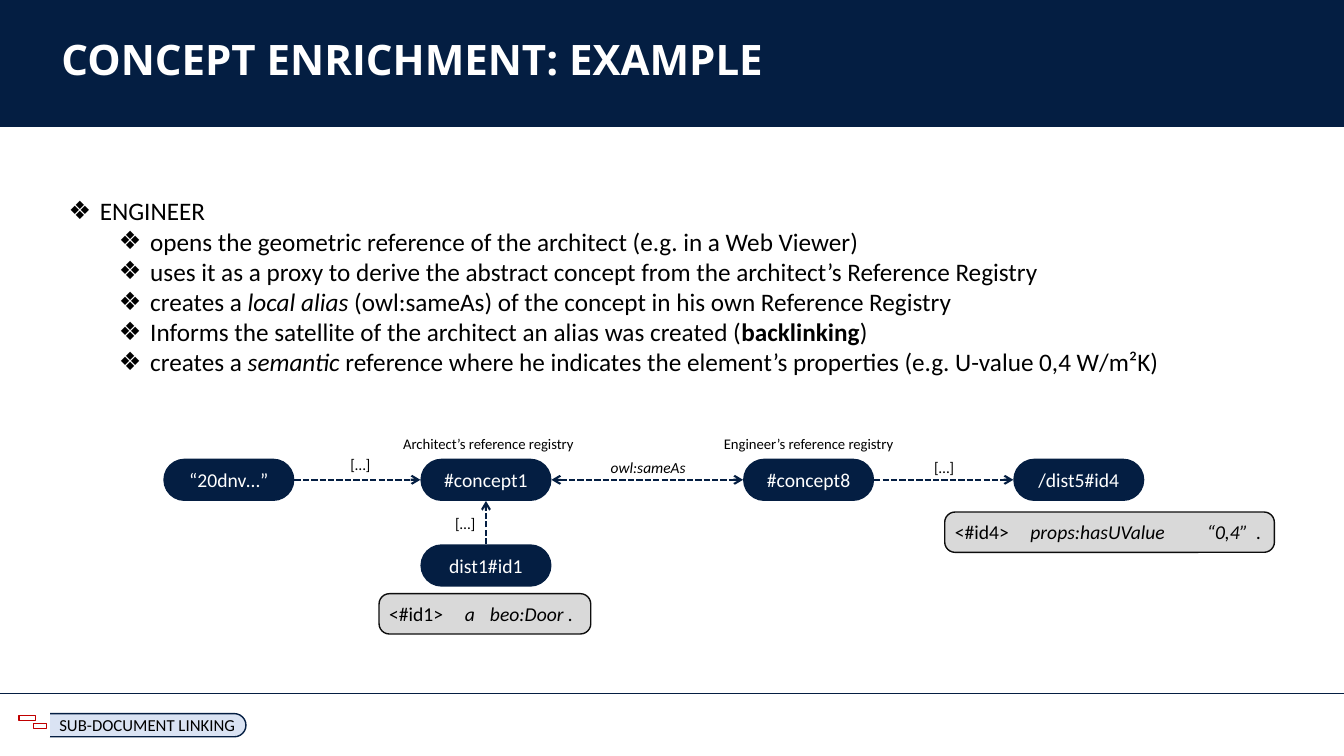
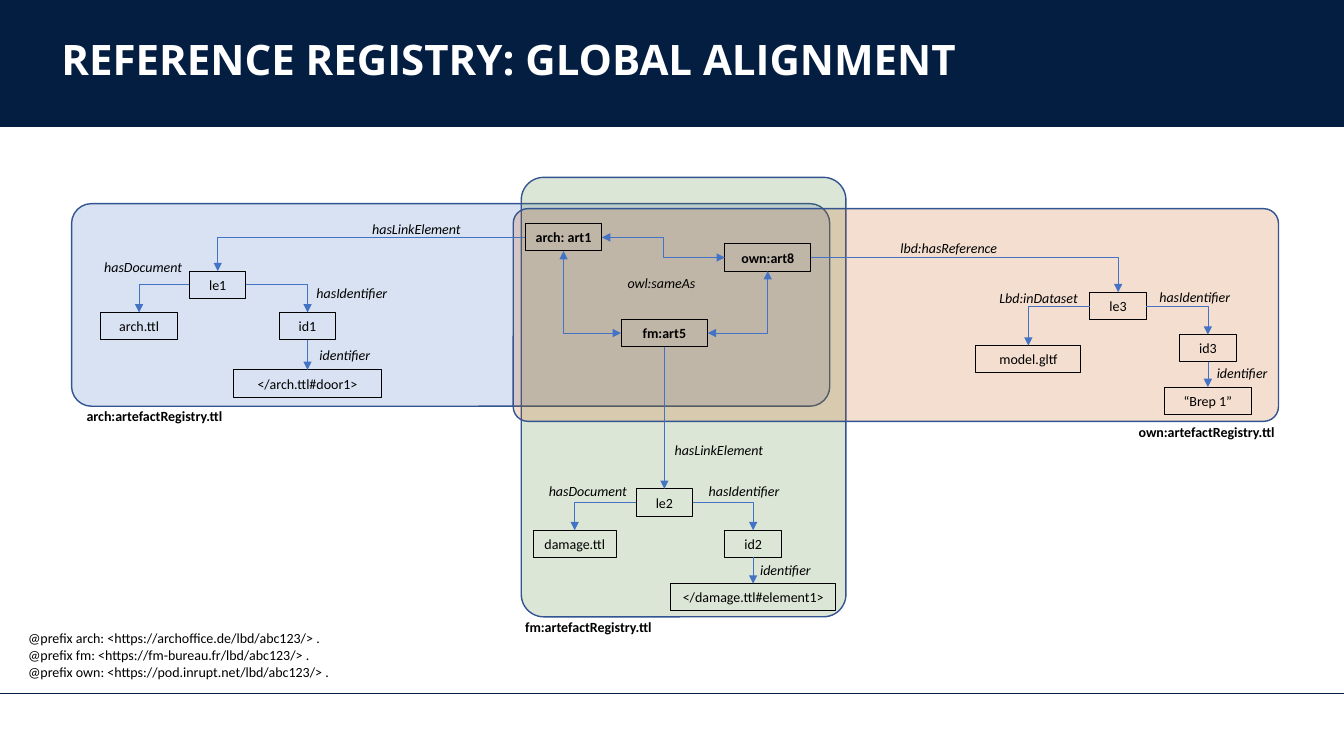
"""Build two slides on linking concepts across reference registries."""
from dataclasses import dataclass

from lxml import etree
from pptx import Presentation, util as u
from pptx.dml.color import RGBColor
from pptx.enum import dml, shapes, text
from pptx.oxml import ns

PX = u.Inches(1) // 100
RECT = shapes.MSO_SHAPE.RECTANGLE
ROUND = shapes.MSO_SHAPE.ROUNDED_RECTANGLE
LEFT, MID, RIGHT = text.PP_ALIGN.LEFT, text.PP_ALIGN.CENTER, text.PP_ALIGN.RIGHT
TOP, CENTER = text.MSO_ANCHOR.TOP, text.MSO_ANCHOR.MIDDLE


@dataclass(frozen=True)
class Theme:
    """Colours, fonts and type sizes of the deck."""
    navy: str = "041E42"
    white: str = "FFFFFF"
    black: str = "000000"
    grey: str = "D9D9D9"
    edge: str = "0D0D0D"
    pale: str = "DAE3F3"
    red: str = "C00000"
    blue: str = "4472C4"
    green: str = "548235"
    rust: str = "C55A11"
    rim: str = "325491"
    head: str = "Open Sans"
    face: str = "Calibri"
    title: float = 30
    body: float = 18
    node: float = 14
    foot: float = 12
    note: float = 11
    side: float = 10.5
    small: float = 10


T = Theme()


def put(item, vals):
    """Set each named value on an object."""
    for key, val in vals.items():
        setattr(item, key, val)


def emu(nums):
    """Turn px lengths into EMU."""
    return [u.Emu(n * PX) for n in nums]


def tag(owner, name, **vals):
    """Append a drawing element with attributes."""
    node = etree.SubElement(owner, ns.qn(name))
    for key, val in vals.items():
        node.set(key, str(val))
    return node


def write(frame, paras, size, color=T.black, face=T.face, marks="",
          align=LEFT, anchor=TOP, space=1.0, pad=10):
    """Fill a frame with paragraphs of plain or marked runs."""
    side = u.Emu(pad * PX)
    put(frame, {"word_wrap": True, "auto_size": text.MSO_AUTO_SIZE.NONE,
                "vertical_anchor": anchor, "margin_left": side, "margin_right": side})
    for num, runs in enumerate(paras):
        para = frame.add_paragraph() if num else frame.paragraphs[0]
        put(para, {"alignment": align, "line_spacing": space, "space_before": u.Pt(0)})
        for words, mark in [(runs, marks)] if isinstance(runs, str) else runs:
            run = para.add_run()
            run.text = words
            put(run.font, {"name": face, "size": u.Pt(size),
                           "bold": "b" in mark, "italic": "i" in mark})
            run.font.color.rgb = RGBColor.from_string(color)


def box(page, at, kind=RECT, fill=None, line=None, width=1, adj=None, alpha=None):
    """Draw a preset shape."""
    item = page.shapes.add_shape(kind, *emu(at))
    item.shadow.inherit = False
    if adj is not None:
        item.adjustments[0] = adj
    if fill:
        item.fill.solid()
        item.fill.fore_color.rgb = RGBColor.from_string(fill)
    else:
        item.fill.background()
    if alpha:
        tone = item.element.xpath("./p:spPr/a:solidFill/a:srgbClr")[0]
        tag(tone, "a:alpha", val=alpha * 1000)
    if line:
        item.line.color.rgb = RGBColor.from_string(line)
        item.line.width = u.Pt(width)
    else:
        item.line.fill.background()
    return item


def label(page, at, words, size, **fmt):
    """Place free text."""
    item = page.shapes.add_textbox(*emu(at))
    write(item.text_frame, words if isinstance(words, list) else [words], size, **fmt)


def wire(page, ends, color, width, kind=shapes.MSO_CONNECTOR.STRAIGHT):
    """Draw a connector without shadow."""
    item = page.shapes.add_connector(kind, *emu(ends))
    item.line.color.rgb = RGBColor.from_string(color)
    item.line.width = u.Pt(width)
    tag(item.element.spPr, "a:effectLst")
    return item


def link(page, start, out, end, into, color, width, tip, bends=0, both=False, dash=None):
    """Join two shapes with an arrow of up to two bends."""
    types = shapes.MSO_CONNECTOR
    item = wire(page, (0, 0, 0, 0), color, width, types.ELBOW if bends else types.STRAIGHT)
    item.begin_connect(start, out)
    item.end_connect(end, into)
    if bends == 1:
        item.element.xpath(".//a:prstGeom")[0].set("prst", "bentConnector2")
    if dash:
        item.line.dash_style = dash
    stroke = item.element.xpath(".//a:ln")[0]
    for name in ["a:headEnd"] * both + ["a:tailEnd"]:
        tag(stroke, name, type=tip)


def pill(page, x, y, words):
    """Draw a dark concept node."""
    item = box(page, (x, y, 130, 42), ROUND, T.navy, adj=0.5)
    write(item.text_frame, [words], T.node, T.white, align=MID, anchor=CENTER, pad=0)
    return item


def triple(page, at, name, rest, stops):
    """Draw a grey statement box with tab stops."""
    item = box(page, at, ROUND, T.grey, T.edge, adj=0.256)
    write(item.text_frame, [[(name + "\t", ""), (rest, "i")]], T.node, anchor=CENTER, pad=7)
    tabs = tag(item.text_frame.paragraphs[0]._p.get_or_add_pPr(), "a:tabLst")
    for stop in stops:
        tag(tabs, "a:tab", pos=stop * PX, algn="l")


def bullets(frame, levels):
    """Give paragraphs their level, indent and bullet."""
    for para, level in zip(frame.paragraphs, levels):
        para.level = level
        props = para._p.get_or_add_pPr()
        props.set("marL", str((38 + 50 * level) * PX))
        props.set("indent", str(-31 * PX))
        tag(props, "a:buFont", typeface="Arial")
        tag(props, "a:buChar", char="❖")


def place(item, at):
    """Move and size a placeholder."""
    put(item, dict(zip(("left", "top", "width", "height"), emu(at))))


def start(deck, num, words):
    """Add a slide with its title."""
    page = deck.slides.add_slide(deck.slide_layouts[num])
    write(page.shapes.title.text_frame, [words], T.title, T.white, T.head, "b",
          anchor=CENTER, space=0.9)
    return page


def frame(deck, page):
    """Move the band and the foot rule to the master."""
    master = deck.slide_master
    parts = [box(page, (0, -1, 1334, 127), fill=T.navy),
             wire(page, (0, 688, 1334, 688), T.navy, 1)]
    for num, part in enumerate(parts):
        part.element.xpath(".//p:cNvPr")[0].set("id", str(90 + num))
        master.shapes.element.insert(2 + num, part.element)
    place(master.placeholders[0], (51, 0, 1149, 123))


def badge(page):
    """Draw the section tag at the foot."""
    box(page, (28, 708, 216, 23), ROUND, T.pale, T.navy, adj=0.5)
    box(page, (27, 705, 22, 27), fill=T.white, line=T.white)
    label(page, (49, 704, 200, 30), "SUB-DOCUMENT LINKING", T.foot)
    for at in ((19, 710, 16, 5), (33, 718, 13, 5)):
        box(page, at, line=T.red)


def enrich(page):
    """Fill the concept enrichment slide."""
    body = page.placeholders[1]
    place(body, (51, 189, 1202, 192))
    write(body.text_frame, [
        "ENGINEER",
        "opens the geometric reference of the architect (e.g. in a Web Viewer)",
        "uses it as a proxy to derive the abstract concept from the architect’s "
        "Reference Registry",
        [("creates a ", ""), ("local alias ", "i"),
         ("(owl:sameAs) of the concept in his own Reference Registry", "")],
        [("Informs the satellite of the architect an alias was created (", ""),
         ("backlinking", "b"), (")", "")],
        [("creates a ", ""), ("semantic ", "i"),
         ("reference where he indicates the element’s properties "
          "(e.g. U-value 0,4 W/m²K)", "")],
    ], T.body)
    bullets(body.text_frame, [0] + [1] * 5)
    guid, arch, eng, dist = [pill(page, x, 455, words) for x, words in (
        (162, "“20dnv…”"), (417, "#concept1"), (737, "#concept8"), (1005, "/dist5#id4"))]
    door = pill(page, 417, 540, "dist1#id1")
    for a, out, b, into, both in ((guid, 3, arch, 1, False), (arch, 3, eng, 1, True),
                                  (eng, 3, dist, 1, False), (door, 0, arch, 2, False)):
        link(page, a, out, b, into, T.navy, 1.5, "arrow", both=both,
             dash=dml.MSO_LINE.SQUARE_DOT)
    for at, words, size, marks in (
            ((296, 447, 123, 29), "[…]", T.note, ""),
            ((565, 450, 156, 29), "owl:sameAs", T.note, "i"),
            ((875, 450, 123, 29), "[…]", T.note, ""),
            ((400, 505, 123, 29), "[…]", T.note, ""),
            ((383, 426, 203, 28), "Architect’s reference registry", T.side, ""),
            ((681, 426, 242, 28), "Engineer’s reference registry", T.side, "")):
        label(page, at, words, size, marks=marks, align=MID)
    triple(page, (937, 508, 327, 40), "<#id4>", "props:hasUValue\t“0,4”\t.", (75, 250, 299))
    triple(page, (376, 589, 210, 40), "<#id1>", "a\tbeo:Door .", (75, 100))
    badge(page)


def align(page):
    """Fill the global alignment slide."""
    for at, fill, adj in (((71, 202, 752, 201), T.blue, 0.098),
                          ((517, 176, 322, 436), T.green, 0.069),
                          ((509, 207, 759, 211), T.rust, 0.069)):
        box(page, at, ROUND, fill, T.rim, adj=adj, alpha=20)
    nodes = {}
    for words, x, y, wide in (
            ("arch: art1", 521, 222, 76), ("own:art8", 719, 242, 85),
            ("fm:art5", 616, 317, 86), ("le1", 188, 269, 56), ("arch.ttl", 100, 310, 76),
            ("id1", 277, 310, 56), ("</arch.ttl#door1>", 232, 367, 146),
            ("le2", 631, 485, 56), ("damage.ttl", 529, 526, 82), ("id2", 719, 526, 56),
            ("</damage.ttl#element1>", 665, 579, 164), ("le3", 1081, 290, 56),
            ("model.gltf", 968, 343, 104), ("id3", 1170, 332, 56),
            ("“Brep 1”", 1155, 384, 86)):
        item = nodes[words] = box(page, (x, y, wide, 27), line=T.black, width=0.75)
        write(item.text_frame, [words], T.small, marks="b" if "art" in words
              and ":" in words else "", align=MID, anchor=CENTER, pad=0)
    joins = [("arch: art1", 1, "le1", 0, 1, False), ("own:art8", 3, "le3", 0, 1, False),
             ("fm:art5", 2, "le2", 0, 0, False), ("fm:art5", 1, "arch: art1", 2, 1, True),
             ("fm:art5", 3, "own:art8", 2, 1, True),
             ("arch: art1", 3, "own:art8", 1, 2, True)]
    for root, doc, key, value in (("le1", "arch.ttl", "id1", "</arch.ttl#door1>"),
                                  ("le2", "damage.ttl", "id2", "</damage.ttl#element1>"),
                                  ("le3", "model.gltf", "id3", "“Brep 1”")):
        joins += [(root, 1, doc, 0, 1, False), (root, 3, key, 0, 1, False),
                  (key, 2, value, 0, 0, False)]
    for a, out, b, into, bends, both in joins:
        link(page, nodes[a], out, nodes[b], into, T.blue, 0.5, "triangle", bends, both)
    for x, y, words in (
            (351, 214, "hasLinkElement"), (80, 252, "hasDocument"),
            (287, 277, "hasIdentifier"), (280, 339, "identifier"),
            (651, 433, "hasLinkElement"), (521, 474, "hasDocument"),
            (676, 474, "hasIdentifier"), (717, 552, "identifier"),
            (879, 233, "lbd:hasReference"), (968, 282, "Lbd:inDataset"),
            (1123, 281, "hasIdentifier"), (1170, 357, "identifier"),
            (594, 267, "owl:sameAs")):
        label(page, (x, y, 124, 27), words, T.small, marks="i", align=MID)
    for x, y, words, side in ((76, 396, "arch:artefactRegistry.ttl", LEFT),
                              (511, 605, "fm:artefactRegistry.ttl", LEFT),
                              (945, 412, "own:artefactRegistry.ttl", RIGHT)):
        label(page, (x, y, 329, 29), words, T.small, marks="b", align=side, space=1.2)
    label(page, (18, 620, 344, 61), [
        f"@prefix {name}: <https://{host}/lbd/abc123/> ." for name, host in (
            ("arch", "archoffice.de"), ("fm", "fm-bureau.fr"), ("own", "pod.inrupt.net"))],
        T.small)


def main():
    """Build and save the deck."""
    deck = Presentation()
    put(deck, {"slide_width": u.Inches(13.33), "slide_height": u.Inches(7.5)})
    first = start(deck, 1, "CONCEPT ENRICHMENT: EXAMPLE")
    frame(deck, first)
    enrich(first)
    align(start(deck, 5, "REFERENCE REGISTRY: GLOBAL ALIGNMENT"))
    deck.save("out.pptx")


if __name__ == "__main__":
    main()
